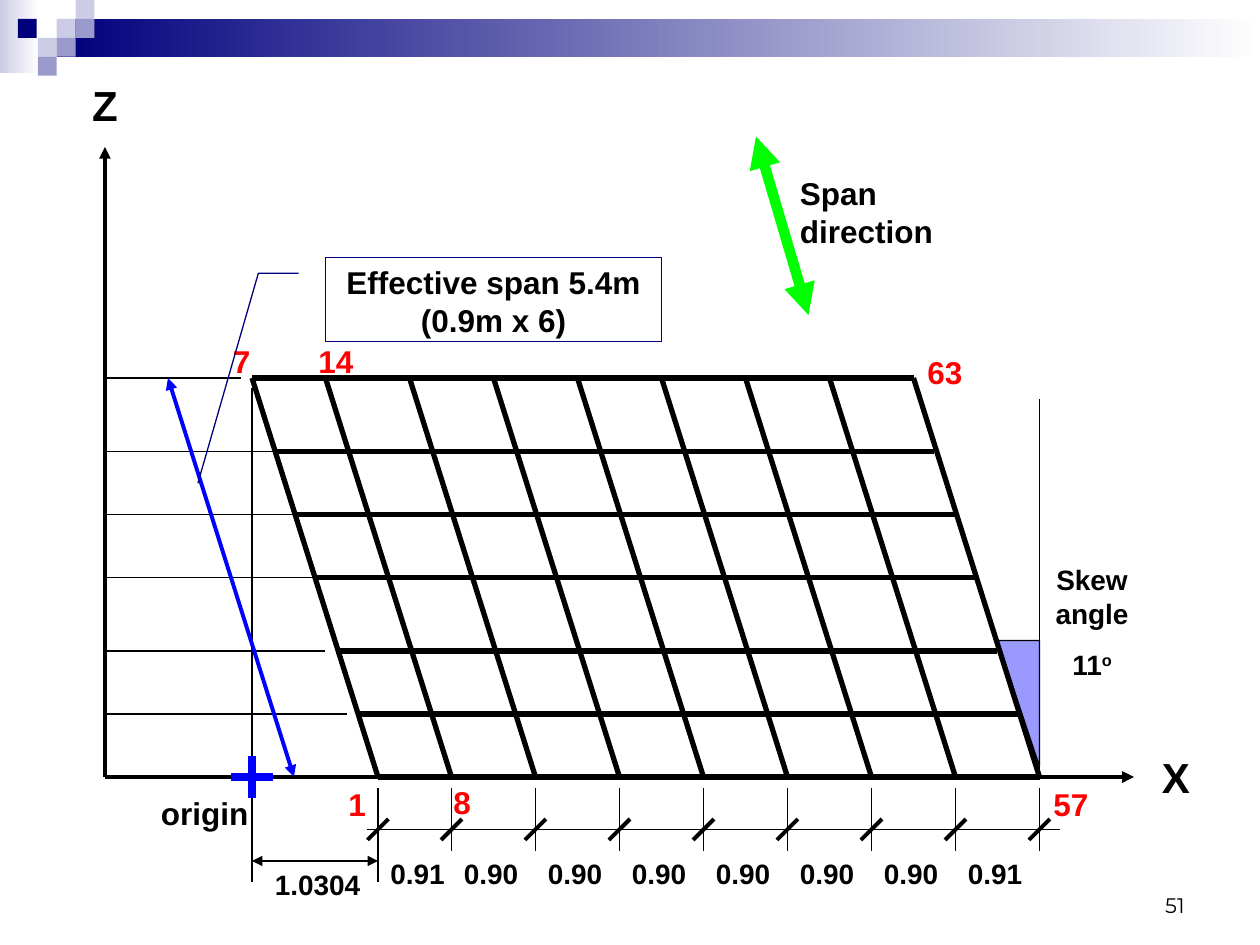
from lxml import etree
from pptx import Presentation
from pptx.dml.color import RGBColor
from pptx.enum.shapes import MSO_CONNECTOR, MSO_SHAPE
from pptx.enum.text import MSO_ANCHOR, MSO_AUTO_SIZE, PP_ALIGN
from pptx.oxml.ns import qn
from pptx.util import Pt

STRAIGHT = MSO_CONNECTOR.STRAIGHT
RECTANGLE, TRIANGLE = MSO_SHAPE.RECTANGLE, MSO_SHAPE.RIGHT_TRIANGLE
CALLOUT = MSO_SHAPE.LINE_CALLOUT_2
LEFT, CENTER, RIGHT = PP_ALIGN.LEFT, PP_ALIGN.CENTER, PP_ALIGN.RIGHT
BOTTOM = MSO_ANCHOR.BOTTOM
TOP = MSO_ANCHOR.TOP
GROW, FIXED = MSO_AUTO_SIZE.SHAPE_TO_FIT_TEXT, MSO_AUTO_SIZE.NONE

PX = 7620  # EMU, 120 px to the inch
COLORS = {
    "black": "000000", "white": "FFFFFF", "red": "FF0000", "blue": "0000FF",
    "green": "00FF00", "navy": "00007D", "pale": "CCCCE6", "lilac": "9999CC",
    "wedge": "9999FF",
}
BOLD = {"name": "Arial", "bold": True}
SMALL = {**BOLD, "size": Pt(16)}
MEDIUM = {**BOLD, "size": Pt(18)}
LARGE = {**BOLD, "size": Pt(24)}
FOOTER = {"name": "Montserrat", "bold": False, "size": Pt(12)}

THIN, AXIS, MEMBER, CROSS, SPAN = 0.75, 2.25, 3, 4.5, 6
COLUMNS = [0] + [70 + 80 * step for step in range(8)]
ROWS = [0, 70, 130, 190, 260, 320, 380]
SKEW = 120


def rgb(name):
    return RGBColor.from_string(COLORS[name])


def emu(*lengths):
    return [length * PX for length in lengths]


def add_line(page, start, end, width=THIN, color="black", heads=()):
    """Draw a straight line; heads names the ends that carry an arrowhead."""
    line = page.shapes.add_connector(STRAIGHT, *emu(*start, *end))
    line.line.color.rgb = rgb(color)
    line.line.width = Pt(width)
    for head in heads:
        etree.SubElement(line.line._get_or_add_ln(), qn(f"a:{head}"), type="triangle")
    etree.SubElement(line._element.spPr, qn("a:effectLst"))


def add_block(page, box, color=None, kind=RECTANGLE, outline=None):
    block = page.shapes.add_shape(kind, *emu(*box))
    block.shadow.inherit = False
    if color:
        block.fill.solid()
        block.fill.fore_color.rgb = rgb(color)
    else:
        block.fill.background()
    if outline:
        block.line.color.rgb = rgb(outline)
        block.line.width = Pt(THIN)
    else:
        block.line.fill.background()
    return block


def write(shape, lines, style, color="black", align=CENTER, gap=0, anchor=TOP, size=GROW):
    frame = shape.text_frame
    settings = {"word_wrap": True, "auto_size": size, "vertical_anchor": anchor}
    for name, value in settings.items():
        setattr(frame, name, value)
    for index, line in enumerate(lines):
        para = frame.add_paragraph() if index else frame.paragraphs[0]
        para.alignment = align
        if index:
            para.space_before = Pt(gap)
        add_span(para, line, style, color)
    return frame


def add_span(para, text, style, color):
    span = para.add_run()
    span.text = text
    for name, value in style.items():
        setattr(span.font, name, value)
    span.font.color.rgb = rgb(color)
    return span


def add_label(page, box, text, style, **options):
    return write(page.shapes.add_textbox(*emu(*box)), [text], style, **options)


def draw_header(page, box):
    left, top, width, _ = box
    bars = [((left, top, 37, 70), "pale"), ((left + 54, top + 18, width - 54, 36), "navy")]
    for bar_box, color in bars:
        bar = add_block(page, bar_box, "white")
        bar.fill.gradient()
        bar.fill.gradient_angle = 180
        for stop, name in zip(bar.fill.gradient_stops, ("white", color)):
            stop.color.rgb = rgb(name)
    tiles = [(54, 18, "pale"), (72, 0, "pale"), (72, 18, "lilac"), (36, 36, "pale"),
             (17, 18, "navy"), (54, 36, "lilac"), (36, 54, "lilac")]
    for x, y, color in tiles:
        add_block(page, (left + x, top + y, 18, 18), color)


def draw_axes(page, box):
    left, top, width, height = box
    base = top + height
    add_line(page, (left, base), (left, top), AXIS, heads=["tailEnd"])
    add_line(page, (left, base), (left + width, base), AXIS, heads=["tailEnd"])
    add_label(page, (left - 40, top - 70, 80, 60), "Z", LARGE)
    add_label(page, (left + width, base - 30, 80, 60), "X", LARGE)


def draw_grid(page, box):
    left, top, width, height = box
    base = top + height
    for x in COLUMNS:
        add_line(page, (left + SKEW + x, base), (left + x, top), MEMBER)
    for index, y in enumerate(ROWS):
        start = left + 20 * index
        add_line(page, (start, top + y), (start + width - SKEW, top + y), MEMBER)
    nodes = [("1", 80, 382, 40), ("7", -30, -40, 40), ("57", 750, 382, 60),
             ("63", 630, -30, 60), ("14", 50, -40, 60), ("8", 180, 380, 40)]
    for text, x, y, label_width in nodes:
        add_label(page, (left + x, top + y, label_width, 48), text, MEDIUM, color="red")


def draw_span_dimension(page, box):
    """Place the row leaders, the sloping dimension and its callout."""
    left, top, _, height = box
    for y, end in zip(ROWS, (130, 160, 180, 200, 210, 230)):
        add_line(page, (left + end, top + y), (left, top + y))
    add_line(page, (left + 180, top + height), (left + 60, top), AXIS, "blue",
             ["headEnd", "tailEnd"])
    note = add_block(page, (left + 210, top - 115, 320, 80), None, CALLOUT, "navy")
    for index, value in enumerate((0.19, -0.08, 0.19, -0.2, 2.69, -0.38)):
        note.adjustments[index] = value
    write(note, ["Effective span 5.4m", "(0.9m x 6)"], MEDIUM, size=FIXED)


def draw_skew_angle(page, box):
    left, top, width, height = box
    edge = left + 40
    add_line(page, (edge, top + height), (edge, top))
    wedge = add_block(page, (left, top + 230, 40, 120), "wedge", TRIANGLE, "black")
    wedge.rotation = 180
    label = page.shapes.add_textbox(*emu(edge, top + 150, width - 40, 125))
    frame = write(label, ["Skew angle", "11"], SMALL, gap=10)
    degree = add_span(frame.paragraphs[1], "o", SMALL, "black")
    degree._r.get_or_add_rPr().set("baseline", "30000")


def draw_origin(page, box):
    left, top, width, height = box
    x, y = left + width // 2, top + height // 2
    add_line(page, (x, y - 370), (x, y))
    add_line(page, (x, top), (x, top + height), CROSS, "blue")
    add_line(page, (left, y), (left + width, y), CROSS, "blue")
    add_label(page, (x - 110, y + 10, 130, 48), "origin", MEDIUM)


def draw_dimensions(page, box):
    left, top, width, height = box
    first = left + SKEW
    add_line(page, (left, top), (left, top + height))
    add_line(page, (first - 10, top + 40), (left + width + 20, top + 40))
    for x in COLUMNS:
        node = first + x
        add_line(page, (node, top), (node, top + (60 if x else height)))
        add_line(page, (node + 10, top + 30), (node - 10, top + 50), AXIS)
    for x, text in zip(COLUMNS, ["0.91"] + ["0.90"] * 6 + ["0.91"]):
        add_label(page, (first + x, top + 60, 80, 44), text, SMALL, align=LEFT)
    add_line(page, (left, top + 70), (first, top + 70), heads=["headEnd", "tailEnd"])
    add_label(page, (left + 10, top + 70, 110, 44), "1.0304", SMALL, align=LEFT)


def draw_span_direction(page, box):
    left, top, width, height = box
    add_line(page, (left + 50, top + height), (left, top), SPAN, "green",
             ["headEnd", "tailEnd"])
    add_label(page, (left + 30, top + 30, width - 30, 84), "Span direction", MEDIUM,
              align=LEFT)


def main():
    deck = Presentation()
    deck.slide_width, deck.slide_height = emu(1200, 900)
    page = deck.slides.add_slide(deck.slide_layouts[6])
    draw_header(page, (0, 0, 1200, 72))
    draw_axes(page, (100, 140, 980, 600))
    draw_skew_angle(page, (950, 380, 140, 360))
    draw_grid(page, (240, 360, 750, 380))
    draw_dimensions(page, (240, 750, 750, 90))
    draw_origin(page, (220, 720, 40, 40))
    draw_span_dimension(page, (100, 360, 180, 380))
    draw_span_direction(page, (720, 130, 200, 170))
    add_label(page, (860, 820, 280, 60), "51", FOOTER, align=RIGHT, anchor=BOTTOM,
              size=FIXED)
    deck.save("out.pptx")


if __name__ == "__main__":
    main()
